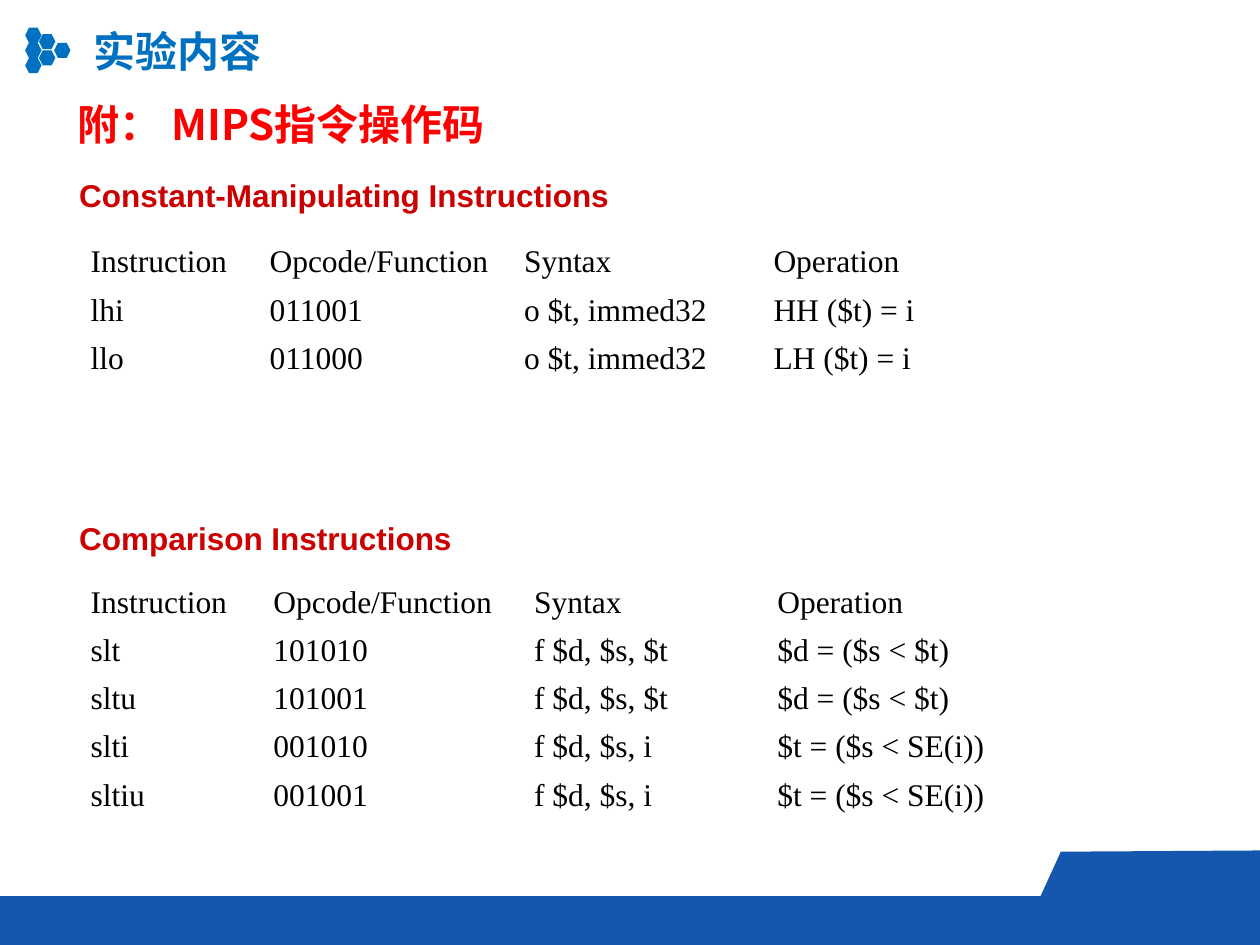
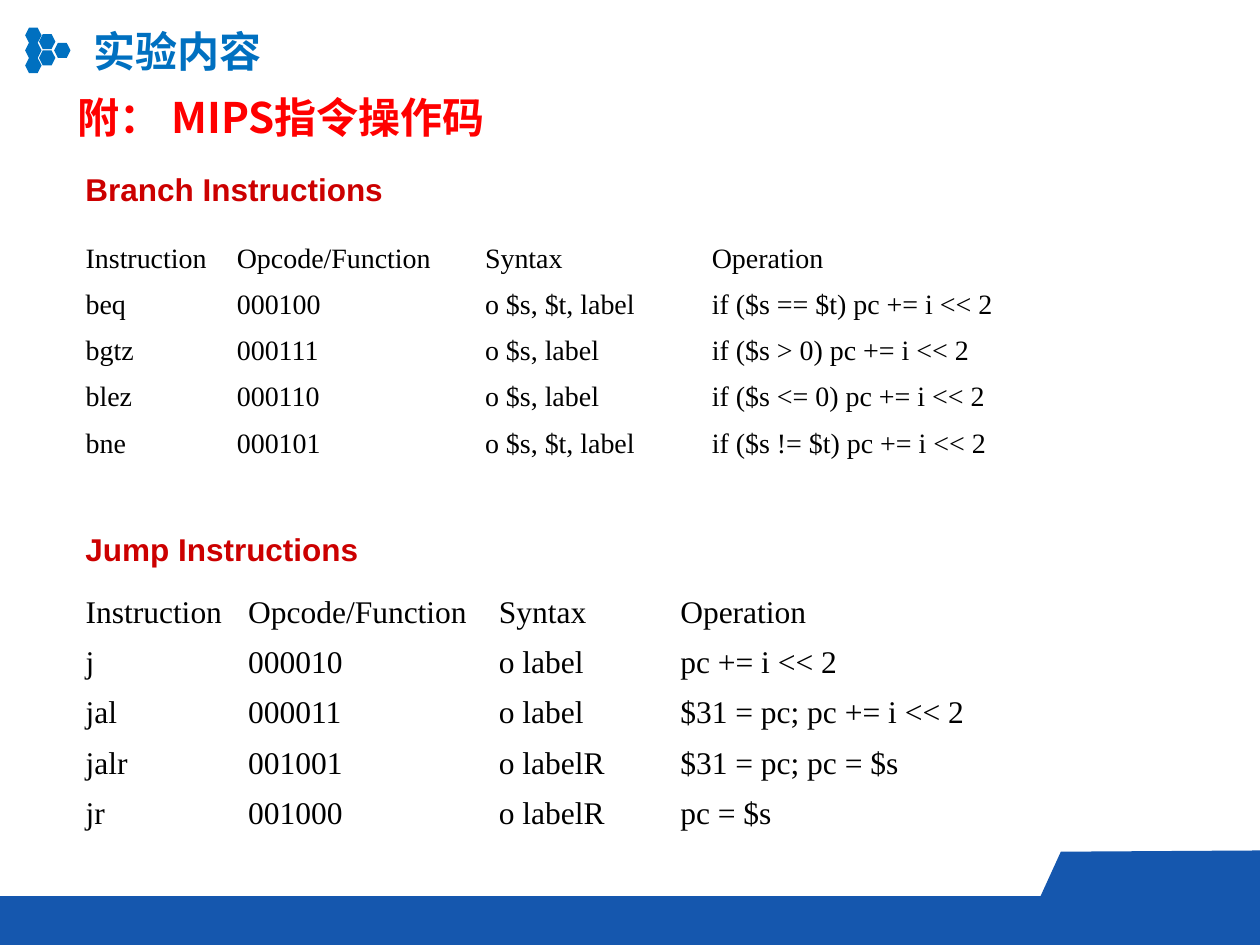
from dataclasses import dataclass

from lxml import etree
from pptx import Presentation, util as u
from pptx.dml.color import RGBColor
from pptx.enum import shapes, text
from pptx.oxml.ns import qn

COLORS = {
    "title": "0070C0",
    "subtitle": "FF0000",
    "heading": "CC0000",
    "band": "1557AE",
    "text": "000000",
    "cell": "FFFFFF",
}
CJK, SANS, SERIF = "Noto Sans CJK SC", "Arial", "Times New Roman"
TITLE = "实验内容"
SUBTITLE = "附： MIPS指令操作码"
HEADER = ("Instruction", "Opcode/Function", "Syntax", "Operation")

# The slide is a grid of square cells
COLS, ROWS = 100, 75
WIDTH, HEIGHT = u.Inches(10), u.Inches(7.5)


def col(n: float) -> int:
    return round(WIDTH * n / COLS)


def row(n: float) -> int:
    return round(HEIGHT * n / ROWS)


@dataclass
class Heading:
    text: str
    left: float
    top: float
    width: float


@dataclass
class OpcodeTable:
    left: float
    top: float
    widths: tuple
    row_height: float
    body: tuple
    size: int = 18
    margins: tuple = (1, 0.5)  # sides, top and bottom
    filled: bool = False


@dataclass
class OpcodeSlide:
    subtitle_top: float
    sections: tuple  # pairs of Heading and OpcodeTable


NARROW = (0.4, 0.4)
SLIDES = (
    OpcodeSlide(7.3, (
        (Heading("Constant-Manipulating Instructions", 5.3, 13.5, 44.5),
         OpcodeTable(6.8, 18.9, (14.2, 20.2, 19.8, 22.7), 3.83, (
             ("lhi", "011001", "o $t, immed32", "HH ($t) = i"),
             ("llo", "011000", "o $t, immed32", "LH ($t) = i"),
         ), margins=NARROW)),
        (Heading("Comparison Instructions", 5.3, 40.7, 31.9),
         OpcodeTable(6.8, 45.9, (14.5, 20.7, 19.3, 27.3), 3.83, (
             ("slt", "101010", "f $d, $s, $t", "$d = ($s < $t)"),
             ("sltu", "101001", "f $d, $s, $t", "$d = ($s < $t)"),
             ("slti", "001010", "f $d, $s, i", "$t = ($s < SE(i))"),
             ("sltiu", "001001", "f $d, $s, i", "$t = ($s < SE(i))"),
         ), margins=NARROW)),
    )),
    OpcodeSlide(6.8, (
        (Heading("Branch Instructions", 5.8, 13, 25.9),
         OpcodeTable(5.8, 18.7, (12, 19.7, 18, 38), 3.65, (
             ("beq", "000100", "o $s, $t, label", "if ($s == $t) pc += i << 2"),
             ("bgtz", "000111", "o $s, label", "if ($s > 0) pc += i << 2"),
             ("blez", "000110", "o $s, label", "if ($s <= 0) pc += i << 2"),
             ("bne", "000101", "o $s, $t, label", "if ($s != $t) pc += i << 2"),
         ), size=16, filled=True)),
        (Heading("Jump Instructions", 5.8, 41.6, 50),
         OpcodeTable(5.8, 46.6, (12.9, 19.9, 14.4, 25.1), 4, (
             ("j", "000010", "o label", "pc += i << 2"),
             ("jal", "000011", "o label", "$31 = pc; pc += i << 2"),
             ("jalr", "001001", "o labelR", "$31 = pc; pc = $s"),
             ("jr", "001000", "o labelR", "pc = $s"),
         ))),
    )),
)


def rgb(name: str) -> RGBColor:
    return RGBColor.from_string(COLORS[name])


def write(tf, content: str, font: str, size: int, color: str, bold: bool = False) -> None:
    tf.text = content
    p = tf.paragraphs[0]
    p.alignment = text.PP_ALIGN.LEFT
    p.font.name, p.font.size, p.font.bold = font, u.Pt(size), bold
    p.font.color.rgb = rgb(color)
    if font == CJK:
        # East Asian glyphs take their font from a:ea
        r_pr = p.runs[0].font
        r_pr.name = font
        latin = p.runs[0]._r.rPr.find(qn("a:latin"))
        ea = etree.Element(qn("a:ea"), typeface=font)
        latin.addnext(ea)


def add_label(s, content: str, left: float, top: float, width: float, height: float,
              font: str, size: int, color: str) -> None:
    tf = s.shapes.add_textbox(col(left), row(top), col(width), row(height)).text_frame
    tf.word_wrap = True
    write(tf, content, font, size, color, bold=True)


def paint(sp, color: str) -> None:
    sp.shadow.inherit = False
    sp.fill.solid()
    sp.fill.fore_color.rgb = rgb(color)
    sp.line.fill.background()


def decorate(layout, s) -> None:
    """Build the honeycomb and the footer band, then move them to the layout."""
    parts = []
    honeycomb = ((2, 2.2), (2, 3.4), (2, 4.6), (3.1, 2.7), (3.1, 4), (4.3, 3.4))
    for x, y in honeycomb:
        sp = s.shapes.add_shape(shapes.MSO_SHAPE.HEXAGON, col(x), row(y), col(1.3), row(1.2))
        paint(sp, "title")
        parts.append(sp)

    band_top = 71.1
    band = s.shapes.add_shape(shapes.MSO_SHAPE.FLOWCHART_PROCESS, 0, row(band_top),
                              WIDTH, HEIGHT - row(band_top))
    fb = s.shapes.build_freeform(col(82.6), row(band_top))
    fb.add_line_segments([(col(84.2), row(67.6)), (WIDTH, row(67.5)), (WIDTH, row(band_top))])
    for sp in (band, fb.convert_to_shape()):
        paint(sp, "band")
        parts.append(sp)

    for number, sp in enumerate(parts, start=100):
        sp.element.xpath(".//p:cNvPr")[0].set("id", str(number))
        layout.shapes.element.append(sp.element)


def add_title(s) -> None:
    sp = s.shapes.title
    sp.left, sp.top, sp.width, sp.height = col(6.4), row(1.5), col(15.5), row(5)
    tf = sp.text_frame
    tf.word_wrap = False
    tf.vertical_anchor = text.MSO_ANCHOR.TOP
    write(tf, TITLE, CJK, 24, "title", bold=True)


def add_opcodes(s, spec: OpcodeTable) -> None:
    rows = (HEADER, *spec.body)
    table = s.shapes.add_table(len(rows), len(HEADER), col(spec.left), row(spec.top),
                               col(sum(spec.widths)), row(spec.row_height * len(rows))).table
    table.first_row = table.horz_banding = False
    for column, width in zip(table.columns, spec.widths):
        column.width = col(width)
    side, end = spec.margins
    for table_row, values in zip(table.rows, rows):
        table_row.height = row(spec.row_height)
        for cell, value in zip(table_row.cells, values):
            cell.margin_left = cell.margin_right = col(side)
            cell.margin_top = cell.margin_bottom = row(end)
            cell.vertical_anchor = text.MSO_ANCHOR.MIDDLE
            if spec.filled:
                cell.fill.solid()
                cell.fill.fore_color.rgb = rgb("cell")
            else:
                cell.fill.background()
            write(cell.text_frame, value, SERIF, spec.size, "text")


def main() -> None:
    prs = Presentation()
    prs.slide_width, prs.slide_height = WIDTH, HEIGHT
    layout = prs.slide_layouts.get_by_name("Title Only")
    for index, spec in enumerate(SLIDES):
        s = prs.slides.add_slide(layout)
        if index == 0:
            decorate(layout, s)
        add_title(s)
        add_label(s, SUBTITLE, 5.2, spec.subtitle_top, 85.9, 5, CJK, 24, "subtitle")
        for heading, opcodes in spec.sections:
            add_label(s, heading.text, heading.left, heading.top, heading.width, 4,
                      SANS, 18, "heading")
            add_opcodes(s, opcodes)
    prs.save("out.pptx")


if __name__ == "__main__":
    main()
